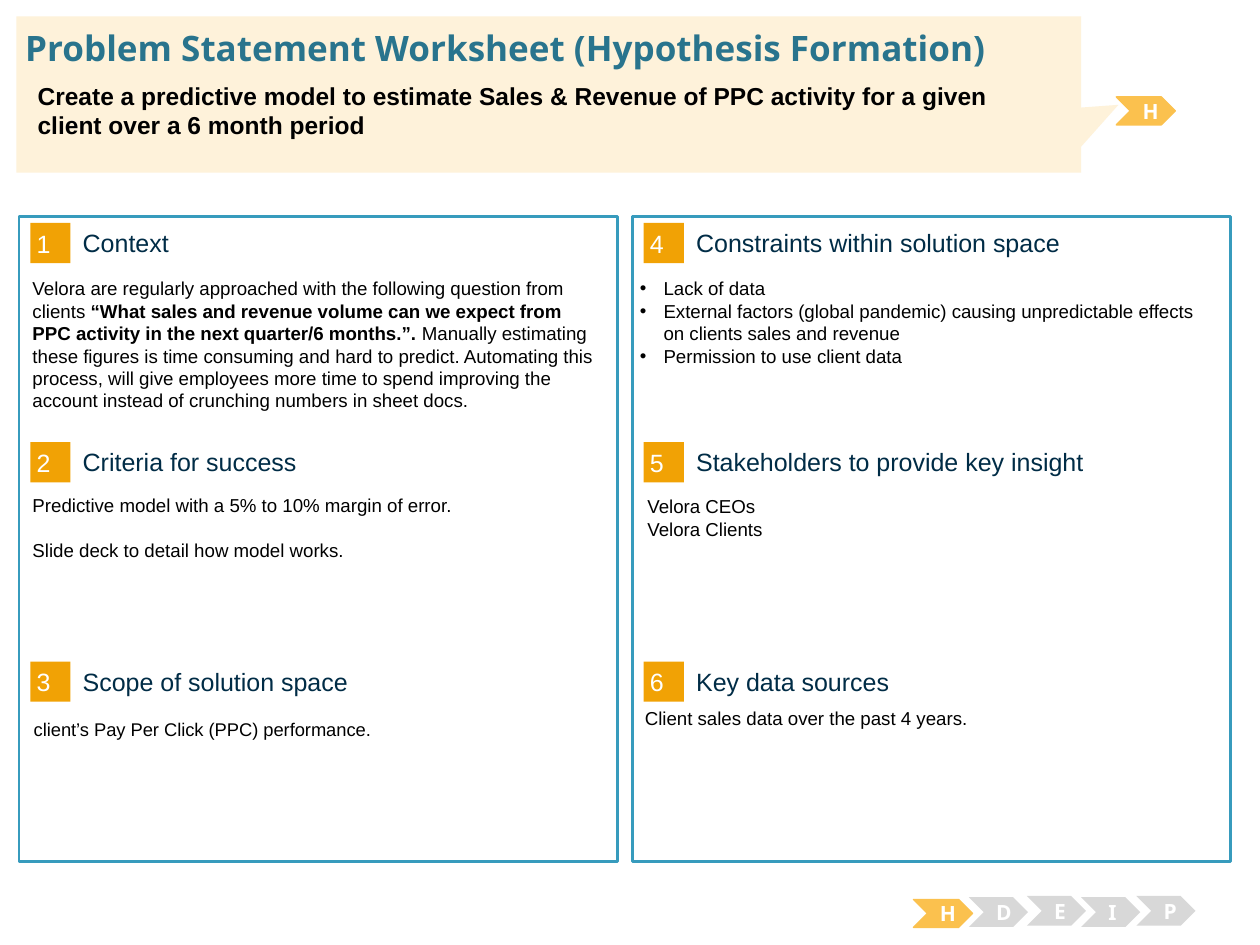
from lxml import etree
from pptx import Presentation
from pptx.dml.color import RGBColor
from pptx.enum.shapes import MSO_SHAPE as SHAPE
from pptx.enum.text import MSO_ANCHOR as ANCHOR, MSO_AUTO_SIZE as AUTO, PP_ALIGN as ALIGN
from pptx.oxml.ns import qn
from pptx.util import Pt

COLORS = {
    "white": "FFFFFF", "black": "000000", "border": "379BBD", "badge": "F1A205",
    "heading": "002C46", "title": "29748D", "callout": "FEF2DA",
    "active": "FBC14E", "idle": "D8D8D8",
}
TITLE = "Problem Statement Worksheet (Hypothesis Formation)"
PROBLEM = ("Create a predictive model to estimate Sales & Revenue of PPC activity "
           "for a given client over a 6 month period")

# Each paragraph is a list of (text, bold) runs.
CONTEXT = [[
    ("Velora are regularly approached with the following question from clients ", False),
    ("“What sales and revenue volume can we expect from PPC activity "
     "in the next quarter/6 months.”. ", True),
    ("Manually estimating these figures is time consuming and hard to predict. "
     "Automating this process, will give employees more time to spend improving "
     "the account instead of crunching numbers in sheet docs.", False),
]]


def plain(*lines):
    """Turn lines into paragraphs of one regular run."""
    return [[(line, False)] for line in lines]


# Down the left column, then down the right:
# heading, paragraphs, body left and top, body height, text options
SECTIONS = [
    ("Context", CONTEXT, (11.5, 154.8), 98, {}),
    ("Criteria for success",
     plain("Predictive model with a 5% to 10% margin of error.",
           "Slide deck to detail how model works."),
     (11.5, 278.6), 111, {"gap": 12.8}),
    ("Scope of solution space", plain("client’s Pay Per Click (PPC) performance."),
     (12.2, 406.8), 59, {"size": 10.5}),
    ("Constraints within solution space",
     plain("Lack of data",
           "External factors (global pandemic) causing unpredictable effects "
           "on clients sales and revenue",
           "Permission to use client data"),
     (358.6, 154.8), 85, {"bullet": True}),
    ("Stakeholders to provide key insight", plain("Velora CEOs", "Velora Clients"),
     (362.9, 279.4), 85, {}),
    ("Key data sources", plain("Client sales data over the past 4 years."),
     (361.4, 400.3), 85, {}),
]
# letter, left, top, height, colour
STAGES = [
    ("H", 522, 514, 16, "active"), ("D", 553.7, 512.7, 17, "idle"),
    ("E", 586.8, 512, 17, "idle"), ("I", 617.8, 512.7, 17, "idle"),
    ("P", 649.4, 512, 17, "idle"), ("H", 637.9, 55.4, 16, "active"),
]
ROWS = 3
COL_STEP, ROW_STEP = 350.5, 125.3
PANEL = (10.8, 123.8, 342, 368.6)
BADGE = (17.3, 127.4, 23, 23)
HEADING = (47.3, 129.6, 283, 18)
BODY_WIDTH = 340.6


def color(name):
    """Return the named colour."""
    return RGBColor.from_string(COLORS[name])


def style(run, size, ink, bold=False, font="Arial"):
    """Format one run."""
    run.font.size, run.font.name, run.font.bold = Pt(size), font, bold
    run.font.color.rgb = color(ink)


def set_frame(tf, inset, anchor):
    """Set wrapping, insets and anchor of a text frame."""
    tf.word_wrap, tf.auto_size, tf.vertical_anchor = True, AUTO.NONE, anchor
    tf.margin_left = tf.margin_right = Pt(inset)
    tf.margin_top = tf.margin_bottom = Pt(inset / 2 if inset > 4 else inset)


def add_box(kind, box, fill, line=None, width=0.75):
    """Add a filled preset shape."""
    sp = slide.shapes.add_shape(kind, *map(Pt, box))
    sp.shadow.inherit = False
    sp.fill.solid()
    sp.fill.fore_color.rgb = color(fill)
    if line:
        sp.line.color.rgb = color(line)
        sp.line.width = Pt(width)
    else:
        sp.line.fill.background()
    return sp


def label(sp, text, inset, size, ink, align=ALIGN.LEFT, **font):
    """Write one vertically centred line into a shape."""
    tf = sp.text_frame
    set_frame(tf, inset, ANCHOR.MIDDLE)
    tf.text = text
    p = tf.paragraphs[0]
    p.alignment = align
    style(p.runs[0], size, ink, **font)


def add_bullet(p):
    """Give a paragraph a hanging round bullet."""
    pPr = p._p.get_or_add_pPr()
    pPr.set("marL", str(Pt(13.5)))
    pPr.set("indent", str(-Pt(13.5)))
    etree.SubElement(pPr, qn("a:buFont")).set("typeface", "Arial")
    etree.SubElement(pPr, qn("a:buChar")).set("char", "•")


def add_body(box, paragraphs, size=10.7, gap=0, bullet=False):
    """Add a text box of paragraphs with mixed runs."""
    tf = slide.shapes.add_textbox(*map(Pt, box)).text_frame
    set_frame(tf, 7.2, ANCHOR.TOP)
    for i, runs in enumerate(paragraphs):
        p = tf.add_paragraph() if i else tf.paragraphs[0]
        if i and gap:
            p.space_before = Pt(gap)
        if bullet:
            add_bullet(p)
        for text, bold in runs:
            r = p.add_run()
            r.text = text
            style(r, size, "black", bold)


def shift(box, col, row=0):
    """Move a first-cell box to the given column and row."""
    left, top, width, height = box
    return left + col * COL_STEP, top + row * ROW_STEP, width, height


prs = Presentation()
prs.slide_width, prs.slide_height = Pt(720), Pt(540)
slide = prs.slides.add_slide(prs.slide_layouts[5])

for col in range(2):
    add_box(SHAPE.RECTANGLE, shift(PANEL, col), "white", "border", 1.5)

for i, (heading, paragraphs, corner, height, options) in enumerate(SECTIONS):
    col, row = divmod(i, ROWS)
    badge = add_box(SHAPE.RECTANGLE, shift(BADGE, col, row), "badge")
    label(badge, str(i + 1), 3.6, 14.3, "white")
    head = slide.shapes.add_textbox(*map(Pt, shift(HEADING, col, row)))
    label(head, heading, 0, 14.3, "heading")
    add_body((*corner, BODY_WIDTH, height), paragraphs, **options)

for letter, left, top, height, fill in STAGES:
    line = fill if fill == "active" else None
    stage = add_box(SHAPE.CHEVRON, (left, top, 33.8, height), fill, line)
    label(stage, letter, 7.2, 12, "white", ALIGN.CENTER, bold=True, font="Noto Sans")

callout = add_box(SHAPE.RECTANGULAR_CALLOUT, (9.4, 9.4, 608.4, 89.3), "callout")
callout.adjustments[0], callout.adjustments[1] = 0.535, 0.066

title = slide.shapes.title
title.left, title.top, title.width, title.height = map(Pt, (14.4, 15.1, 692.6, 24.5))
label(title, TITLE, 0, 20, "title", bold=True, font="Noto Sans")
slide.shapes._spTree.append(title._element)  # in front of the callout
add_body((14.4, 42.5, 582.5, 39), [[(PROBLEM, True)]], size=14)

prs.save("out.pptx")
